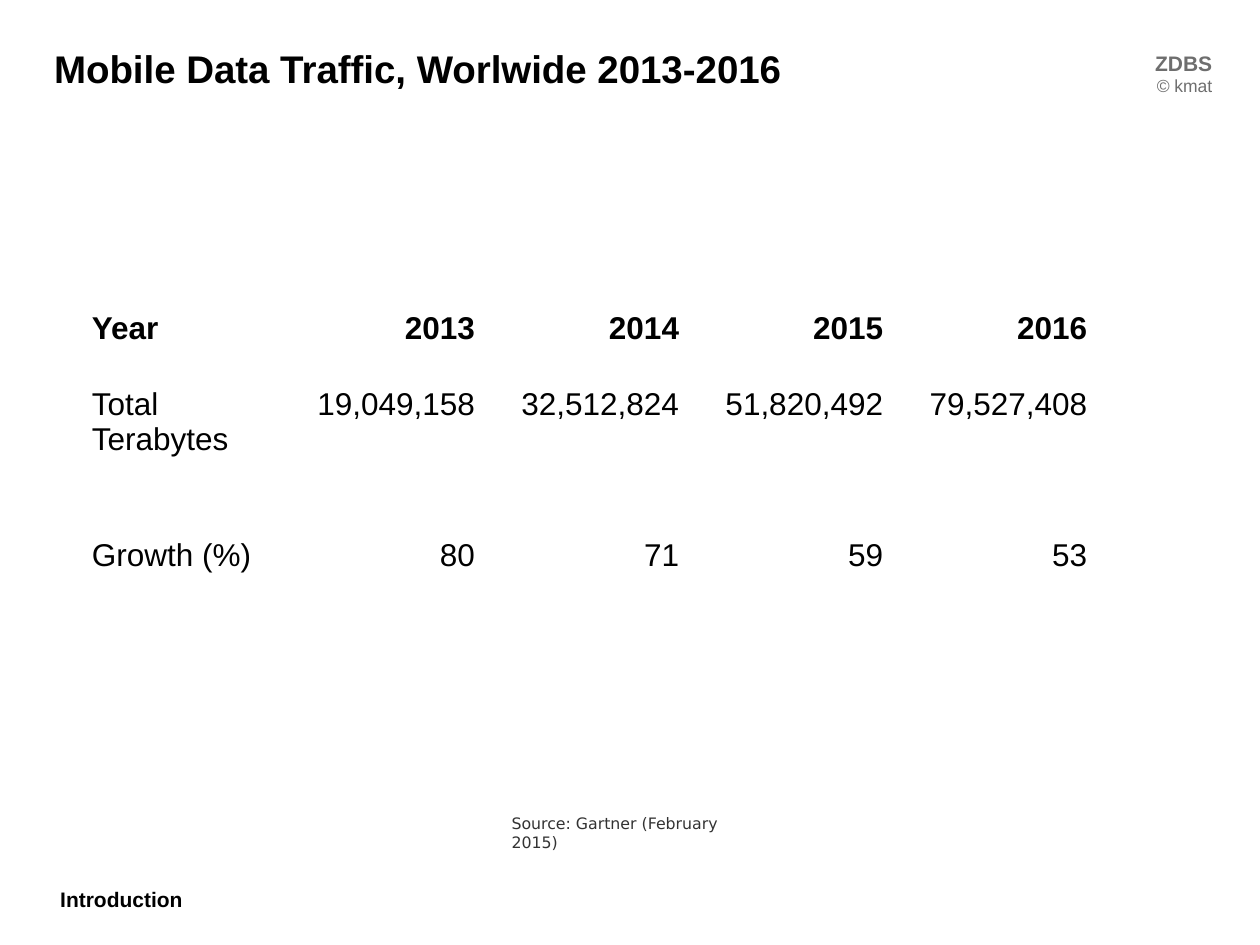
"""Build the mobile data traffic slide with its table, source line and labels."""
from dataclasses import dataclass

from pptx import Presentation
from pptx.dml.color import RGBColor
from pptx.enum.text import MSO_ANCHOR, PP_ALIGN
from pptx.util import Inches, Pt


@dataclass(frozen=True)
class Theme:
    heading_font: str = "Arial"
    source_font: str = "DejaVu Sans"
    ink: str = "000000"
    paper: str = "FFFFFF"
    brand_grey: str = "6E6E6E"
    source_grey: str = "333333"
    title_size: int = 22
    table_size: int = 18
    label_size: int = 12
    credit_size: int = 10
    source_size: int = 9


THEME = Theme()
SLIDE_SIZE = (10, 7.5)
TRAFFIC = [
    ("Year", "2013", "2014", "2015", "2016"),
    ("Total Terabytes", "19,049,158", "32,512,824", "51,820,492", "79,527,408"),
    ("Growth (%)", "80", "71", "59", "53"),
]
ROW_UNITS = (1, 2, 1)
ROW_UNIT = 0.6
COLUMN_WIDTH = 1.62
TABLE_ORIGIN = (0.63, 2.42)

TEXT_BOXES = [
    {
        "box": (0.38, 6.99, 1.17, 0.64),
        "lines": [("Introduction", THEME.label_size, True)],
        "margins": (0.1, 0.05),
    },
    {
        "box": (9.02, 0.35, 0.7, 0.64),
        "lines": [("ZDBS", THEME.label_size, True), ("© kmat", THEME.credit_size, False)],
        "margins": (0.1, 0.05),
        "color": THEME.brand_grey,
        "align": PP_ALIGN.RIGHT,
    },
    {
        "box": (4.06, 6.53, 1.88, 0.15),
        "lines": [("Source: Gartner (February 2015)", THEME.source_size, False)],
        "margins": (0, 0),
        "color": THEME.source_grey,
        "font": THEME.source_font,
        "anchor": MSO_ANCHOR.MIDDLE,
        "wrap": True,
    },
    {
        "box": (0.43, 0.21, 6.5, 0.66),
        "lines": [("Mobile Data Traffic, Worlwide 2013-2016", THEME.title_size, True)],
        "margins": (0, 0.05),
        "anchor": MSO_ANCHOR.MIDDLE,
        "wrap": True,
    },
]


def style_paragraph(paragraph, text, size, bold, color=THEME.ink,
                    font=THEME.heading_font, align=PP_ALIGN.LEFT):
    paragraph.text = text
    paragraph.alignment = align
    paragraph.font.name = font
    paragraph.font.size = Pt(size)
    paragraph.font.bold = bold
    paragraph.font.color.rgb = RGBColor.from_string(color)


def add_text(slide, box, lines, margins, anchor=MSO_ANCHOR.TOP, wrap=False, **style):
    frame = slide.shapes.add_textbox(*map(Inches, box)).text_frame
    frame.word_wrap = wrap
    frame.vertical_anchor = anchor
    frame.margin_left = frame.margin_right = Inches(margins[0])
    frame.margin_top = frame.margin_bottom = Inches(margins[1])
    for index, line in enumerate(lines):
        paragraph = frame.add_paragraph() if index else frame.paragraphs[0]
        style_paragraph(paragraph, *line, **style)


def add_traffic_table(slide):
    column_count = len(TRAFFIC[0])
    size = (column_count * COLUMN_WIDTH, sum(ROW_UNITS) * ROW_UNIT)
    table = slide.shapes.add_table(
        len(TRAFFIC), column_count, *map(Inches, TABLE_ORIGIN + size)).table
    table.horz_banding = False
    for column in table.columns:
        column.width = Inches(COLUMN_WIDTH)
    for row_index, (values, units) in enumerate(zip(TRAFFIC, ROW_UNITS)):
        table.rows[row_index].height = Inches(units * ROW_UNIT)
        for column_index, value in enumerate(values):
            cell = table.cell(row_index, column_index)
            cell.fill.solid()
            cell.fill.fore_color.rgb = RGBColor.from_string(THEME.paper)
            align = PP_ALIGN.RIGHT if column_index else PP_ALIGN.LEFT
            style_paragraph(cell.text_frame.paragraphs[0], value,
                            THEME.table_size, row_index == 0, align=align)


def main():
    presentation = Presentation()
    presentation.slide_width, presentation.slide_height = map(Inches, SLIDE_SIZE)
    slide = presentation.slides.add_slide(presentation.slide_layouts[6])
    add_traffic_table(slide)
    for text_box in TEXT_BOXES:
        add_text(slide, **text_box)
    presentation.save("out.pptx")


if __name__ == "__main__":
    main()
